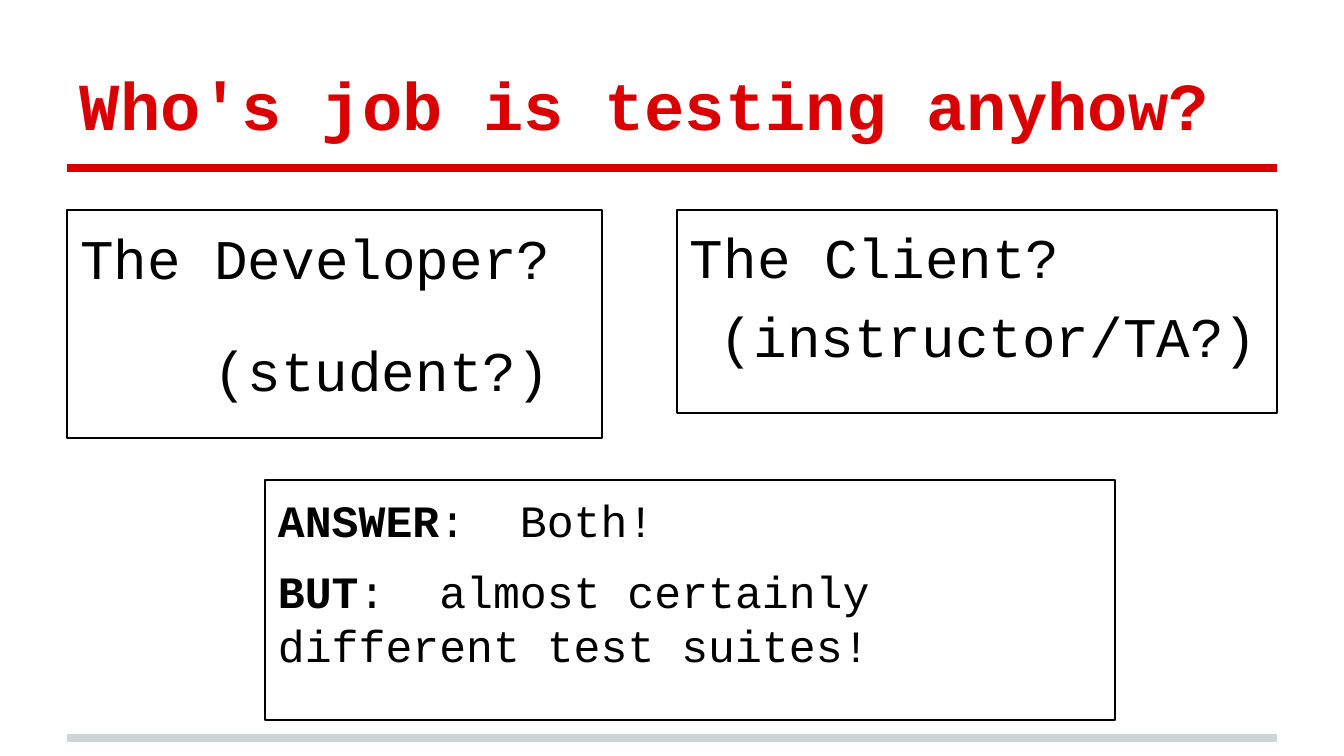
from pptx import Presentation
from pptx import util as u
from pptx.dml.color import RGBColor
from pptx.enum import shapes, text
from pptx.oxml.ns import qn
from lxml import etree

SCALE = 914400 / 134.4
RED = RGBColor(0xDA, 0x00, 0x02)
GREY = RGBColor(0xCF, 0xD4, 0xD4)
BLACK = RGBColor(0, 0, 0)
FONT = "Courier New"
LEFT, RIGHT = 67, 1277


def px(n):
    return u.Emu(round(n * SCALE))


def write(frame, lines, size, color=BLACK, bold=False, anchor=text.MSO_ANCHOR.TOP):
    frame.word_wrap = True
    frame.vertical_anchor = anchor
    frame.margin_left = frame.margin_right = px(13)
    frame.margin_top = frame.margin_bottom = px(13)
    for i, (lead, body, before, indent) in enumerate(lines):
        para = frame.paragraphs[0] if i == 0 else frame.add_paragraph()
        para.alignment = text.PP_ALIGN.LEFT
        para.space_before = u.Pt(before)
        if indent:
            para._p.get_or_add_pPr().set("marL", str(px(indent)))
        for words, heavy in ((lead, True), (body, bold)):
            if words:
                run = para.add_run()
                run.text = words
                font = run.font
                font.name, font.size, font.bold = FONT, u.Pt(size), heavy
                font.color.rgb = color


def rule(slide, y, color):
    line = slide.shapes.add_connector(
        shapes.MSO_CONNECTOR.STRAIGHT, px(LEFT), px(y), px(RIGHT), px(y))
    line.line.color.rgb = color
    line.line.width = u.Pt(4)
    etree.SubElement(line._element.spPr, qn("a:effectLst"))


def header(slide, x, y, w, h):
    box = slide.shapes.add_textbox(px(x), px(y), px(w), px(h))
    write(box.text_frame, [("", "Who's job is testing anyhow?", 0, 0)], 36,
          color=RED, bold=True, anchor=text.MSO_ANCHOR.BOTTOM)
    rule(slide, y + h + 11, RED)


def panel(slide, x, y, w, h, lines, size):
    box = slide.shapes.add_shape(
        shapes.MSO_SHAPE.RECTANGLE, px(x), px(y), px(w), px(h))
    box.shadow.inherit = False
    box.fill.background()
    box.line.color.rgb = BLACK
    box.line.width = u.Pt(0.75)
    write(box.text_frame, lines, size)


def main():
    deck = Presentation()
    deck.slide_width, deck.slide_height = px(1344), px(756)
    slide = deck.slides.add_slide(deck.slide_layouts[6])
    rule(slide, 738, GREY)
    header(slide, LEFT, 31, RIGHT - LEFT, 126)
    panel(slide, LEFT, 210, 535, 228,
          [("", "The Developer?", 6, 0), ("", "(student?)", 24, 134)], 30)
    panel(slide, 677, 210, RIGHT - 677, 203,
          [("", "The Client?", 6, 0), ("", "(instructor/TA?)", 6, 30)], 30)
    panel(slide, 265, 480, 850, 240,
          [("ANSWER", ":  Both!", 5, 0),
           ("BUT", ":  almost certainly different test suites!", 9, 0)], 24)
    deck.save("out.pptx")


main()
